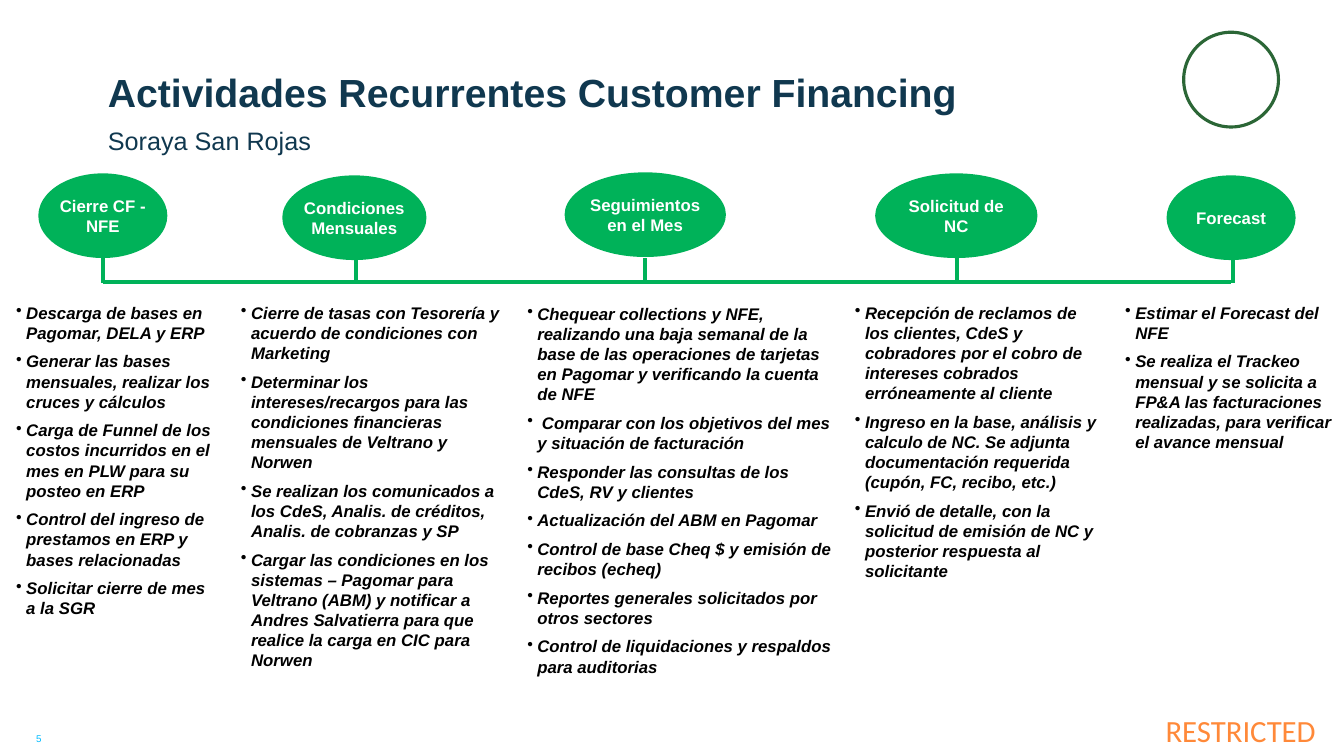
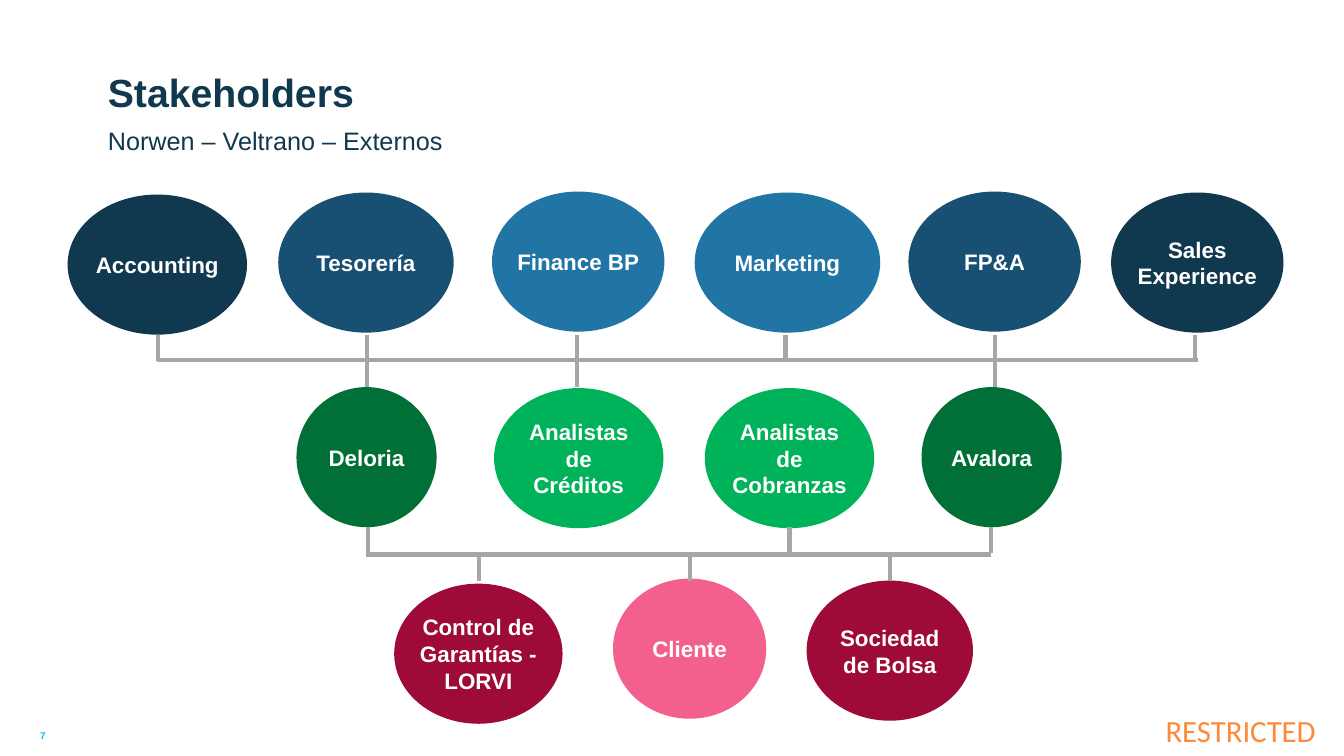
from dataclasses import dataclass
from lxml.etree import SubElement
from pptx import Presentation
from pptx.dml.color import RGBColor
from pptx.enum.shapes import MSO_CONNECTOR, MSO_SHAPE
from pptx.enum.text import MSO_ANCHOR, PP_ALIGN
from pptx.oxml.ns import qn
from pptx.util import Inches, Pt


@dataclass(frozen=True)
class Theme:
    font: str = "Arial"
    label_font: str = "Calibri"
    navy: str = "10384F"
    steel: str = "175072"
    blue: str = "2175A5"
    green: str = "00B259"
    forest: str = "007038"
    ring: str = "2B6636"
    wine: str = "9E0B38"
    pink: str = "F4608D"
    gray: str = "A6A6A6"
    orange: str = "FF8939"
    cyan: str = "00BCFF"
    black: str = "000000"
    white: str = "FFFFFF"
    title_size: int = 28
    label_size: int = 22
    subtitle_size: int = 18
    stakeholder_size: int = 16
    body_size: int = 12
    number_size: int = 7
    line_width: float = 3
    ring_width: float = 2.25


THEME = Theme()

ACTIVITIES = [
    ("Cierre CF - NFE", (0.38, 1.72, 1.28, 0.84), 1.02, (0.16, 3, 2.01, 4.1), [
        "Descarga de bases en Pagomar, DELA y ERP",
        "Generar las bases mensuales, realizar los cruces y cálculos",
        "Carga de Funnel de los costos incurridos en el mes en PLW para su posteo en ERP",
        "Control del ingreso de prestamos en ERP y bases relacionadas",
        "Solicitar cierre de mes a la SGR",
    ]),
    ("Condiciones Mensuales", (2.8, 1.74, 1.43, 0.84), 3.53, (2.39, 3, 2.61, 4.36), [
        "Cierre de tasas con Tesorería y acuerdo de condiciones con Marketing",
        "Determinar los intereses/recargos para las condiciones financieras mensuales "
        "de Veltrano y Norwen",
        "Se realizan los comunicados a los CdeS, Analis. de créditos, Analis. de cobranzas y SP",
        "Cargar las condiciones en los sistemas – Pagomar para Veltrano (ABM) y notificar a "
        "Andres Salvatierra para que realice la carga en CIC para Norwen",
    ]),
    ("Seguimientos en el Mes", (5.6, 1.71, 1.6, 0.84), 6.4, (5.23, 3.01, 3.03, 4.36), [
        "Chequear collections y NFE, realizando una baja semanal de la base de las "
        "operaciones de tarjetas en Pagomar y verificando la cuenta de NFE",
        " Comparar con los objetivos del mes y situación de facturación",
        "Responder las consultas de los CdeS, RV y clientes",
        "Actualización del ABM en Pagomar",
        "Control de base Cheq $ y emisión de recibos (echeq)",
        "Reportes generales solicitados por otros sectores",
        "Control de liquidaciones y respaldos para auditorias",
    ]),
    ("Solicitud de NC", (8.68, 1.72, 1.61, 0.84), 9.49, (8.48, 3, 2.46, 4.1), [
        "Recepción de reclamos de los clientes, CdeS y cobradores por el cobro de "
        "intereses cobrados erróneamente al cliente",
        "Ingreso en la base, análisis y calculo de NC. Se adjunta documentación requerida "
        "(cupón, FC, recibo, etc.)",
        "Envió de detalle, con la solicitud de emisión de NC y posterior respuesta al solicitante",
    ]),
    ("Forecast", (11.57, 1.74, 1.28, 0.84), 12.23, (11.16, 3, 2.09, 2.16), [
        "Estimar el Forecast del NFE",
        "Se realiza el Trackeo mensual y se solicita a FP&A las facturaciones realizadas, "
        "para verificar el avance mensual",
    ]),
]

STAKEHOLDER_HEIGHT = 1.39
STAKEHOLDERS = [
    ("Accounting", THEME.navy, 0.67, 1.93, 1.78),
    ("Tesorería", THEME.steel, 2.76, 1.91, 1.74),
    ("Finance BP", THEME.blue, 4.88, 1.9, 1.71),
    ("Marketing", THEME.blue, 6.89, 1.91, 1.84),
    ("FP&A", THEME.steel, 9.01, 1.9, 1.71),
    ("Sales Experience", THEME.navy, 11.02, 1.91, 1.71),
    ("Deloria", THEME.forest, 2.94, 3.84, 1.39),
    ("Analistas de Créditos", THEME.green, 4.9, 3.85, 1.68),
    ("Analistas de Cobranzas", THEME.green, 6.99, 3.85, 1.68),
    ("Avalora", THEME.forest, 9.14, 3.84, 1.39),
    ("Control de Garantías - LORVI", THEME.wine, 3.91, 5.79, 1.67),
    ("Cliente", THEME.pink, 6.08, 5.74, 1.52),
    ("Sociedad de Bolsa", THEME.wine, 8, 5.76, 1.65),
]
RAILS = [(1.56, 11.88, 3.57), (3.63, 9.83, 5.5)]
STEMS = [
    (3.32, 3.58, [1.57, 3.64, 5.72, 7.79, 9.87, 11.85]),
    (3.58, 3.84, [3.64, 5.72, 9.87]),
    (5.23, 5.49, [3.65, 7.83, 9.83]),
    (5.5, 5.76, [4.75, 6.84, 8.83]),
]


def rgb(color):
    return RGBColor.from_string(color)


def style(paragraph, size, color, bold=False, italic=False, font=THEME.font):
    paragraph.font.name = font
    paragraph.font.size = Pt(size)
    paragraph.font.bold = bold
    paragraph.font.italic = italic
    paragraph.font.color.rgb = rgb(color)


def prepare_frame(shape, anchor, vertical_inset=0):
    frame = shape.text_frame
    frame.word_wrap = True
    frame.vertical_anchor = anchor
    frame.margin_left = frame.margin_right = 0
    frame.margin_top = frame.margin_bottom = Inches(vertical_inset)
    return frame


def add_text(page, area, text, size, color, anchor=MSO_ANCHOR.TOP,
             align=PP_ALIGN.LEFT, **font):
    box = page.shapes.add_textbox(*map(Inches, area))
    para = prepare_frame(box, anchor).paragraphs[0]
    para.text = text
    para.alignment = align
    style(para, size, color, **font)


def add_bullets(page, area, items):
    box = page.shapes.add_textbox(*map(Inches, area))
    frame = prepare_frame(box, MSO_ANCHOR.TOP)
    for index, item in enumerate(items):
        para = frame.add_paragraph() if index else frame.paragraphs[0]
        para.text = item
        para.space_before = Pt(6)
        properties = para._p.get_or_add_pPr()
        properties.set("marL", str(Inches(0.1)))
        properties.set("indent", str(-Inches(0.1)))
        SubElement(properties, qn("a:buChar")).set("char", "•")
        style(para, THEME.body_size, THEME.black, bold=True, italic=True)


def add_ellipse(page, area, fill):
    ellipse = page.shapes.add_shape(MSO_SHAPE.OVAL, *map(Inches, area))
    ellipse.shadow.inherit = False
    ellipse.fill.solid()
    ellipse.fill.fore_color.rgb = rgb(fill)
    ellipse.line.fill.background()
    return ellipse


def add_bubble(page, area, text, size, fill):
    frame = prepare_frame(add_ellipse(page, area, fill), MSO_ANCHOR.MIDDLE, 0.05)
    para = frame.paragraphs[0]
    para.text = text
    para.alignment = PP_ALIGN.CENTER
    style(para, size, THEME.white, bold=True)


def add_line(page, start, end, color):
    line = page.shapes.add_connector(MSO_CONNECTOR.STRAIGHT, *map(Inches, start + end))
    line.line.color.rgb = rgb(color)
    line.line.width = Pt(THEME.line_width)
    SubElement(line._element.spPr, qn("a:effectLst"))


def add_page(deck, title, subtitle, number, number_area, number_bold):
    page = deck.slides.add_slide(deck.slide_layouts[6])
    add_text(page, (11.28, 6.99, 1.77, 0.51), "RESTRICTED", THEME.label_size, THEME.orange,
             MSO_ANCHOR.MIDDLE, PP_ALIGN.RIGHT, font=THEME.label_font)
    add_text(page, (1.07, 1.24, 11.81, 0.28), subtitle, THEME.subtitle_size, THEME.navy)
    add_text(page, (1.07, 0.2, 11.81, 0.94), title, THEME.title_size, THEME.navy,
             MSO_ANCHOR.BOTTOM, bold=True)
    add_text(page, number_area, number, THEME.number_size, THEME.cyan,
             align=PP_ALIGN.CENTER, bold=number_bold)
    return page


def build_activities(deck):
    page = add_page(deck, "Actividades Recurrentes Customer Financing", "Soraya San Rojas",
                    "5", (0.17, 7.27, 0.43, 0.12), False)
    add_line(page, (1.02, 2.8), (12.21, 2.8), THEME.green)
    for name, bubble_area, stem, list_area, items in ACTIVITIES:
        add_bubble(page, bubble_area, name, THEME.body_size, THEME.green)
        add_line(page, (stem, 2.56), (stem, 2.81), THEME.green)
        add_bullets(page, list_area, items)
    ring = add_ellipse(page, (11.74, 0.32, 0.94, 0.94), THEME.white)
    ring.line.color.rgb = rgb(THEME.ring)
    ring.line.width = Pt(THEME.ring_width)


def build_stakeholders(deck):
    page = add_page(deck, "Stakeholders", "Norwen – Veltrano – Externos",
                    "7", (0.21, 7.24, 0.43, 0.12), True)
    for name, fill, left, top, width in STAKEHOLDERS:
        add_bubble(page, (left, top, width, STAKEHOLDER_HEIGHT), name,
                   THEME.stakeholder_size, fill)
    for left, right, height in RAILS:
        add_line(page, (left, height), (right, height), THEME.gray)
    for top, bottom, centers in STEMS:
        for center in centers:
            add_line(page, (center, top), (center, bottom), THEME.gray)


def main():
    deck = Presentation()
    deck.slide_width, deck.slide_height = Inches(13.33), Inches(7.5)
    build_activities(deck)
    build_stakeholders(deck)
    deck.save("out.pptx")


if __name__ == "__main__":
    main()
